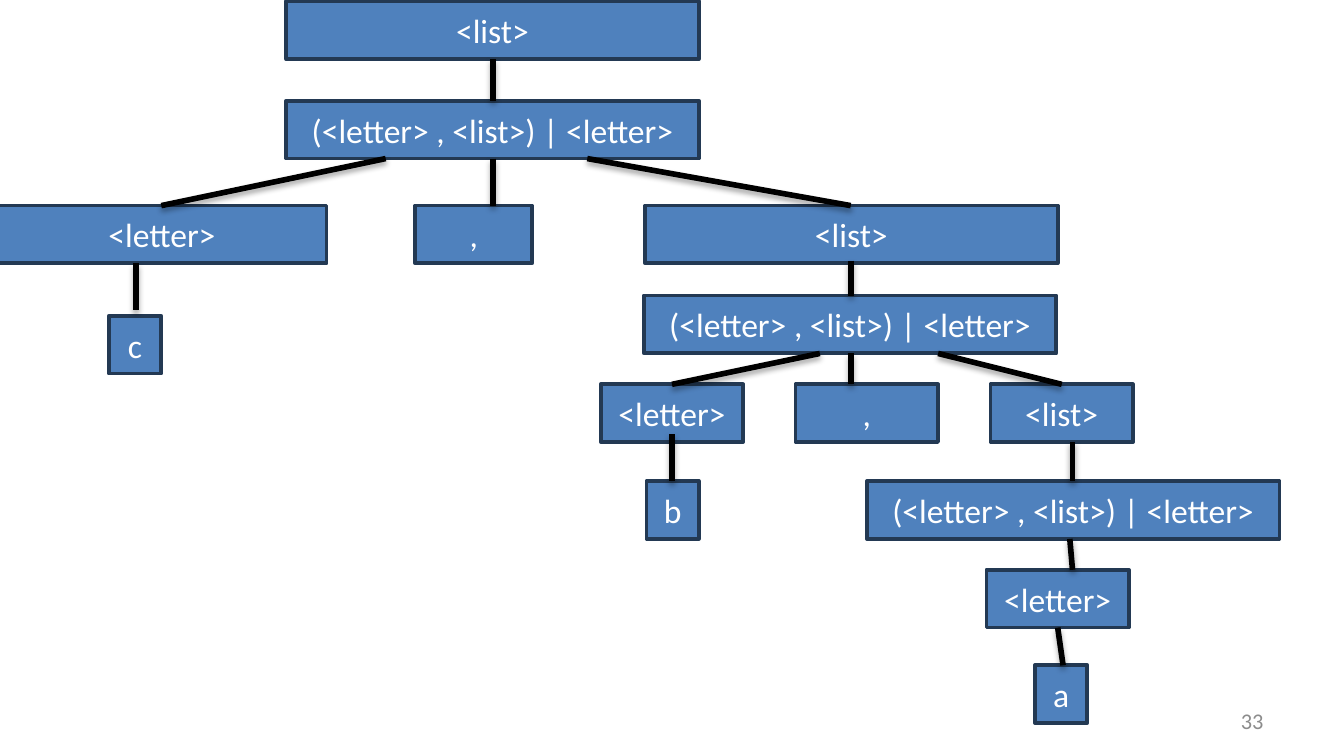
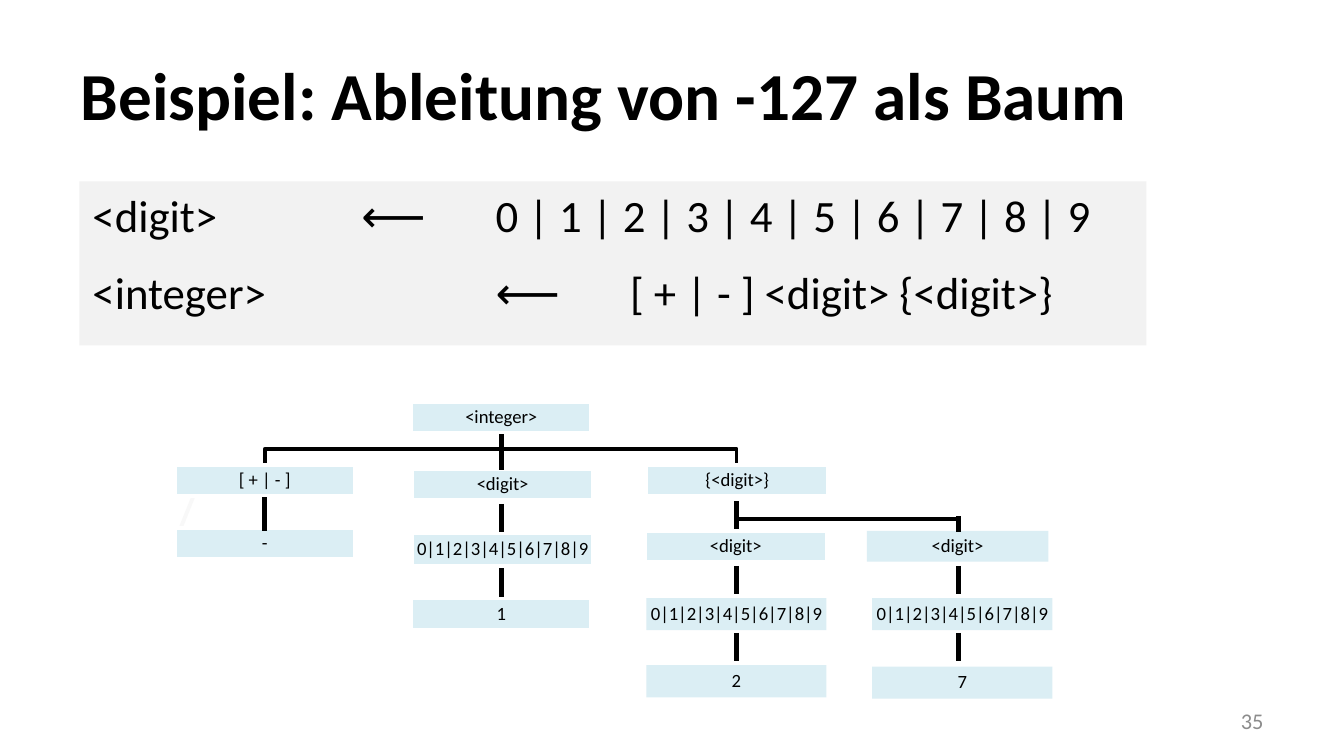
from dataclasses import dataclass

from lxml import etree
from pptx import Presentation
from pptx.dml.color import RGBColor
from pptx.enum.shapes import MSO_CONNECTOR, MSO_SHAPE
from pptx.enum.text import MSO_ANCHOR, PP_ALIGN
from pptx.oxml.ns import qn
from pptx.util import Inches, Pt

STRAIGHT = MSO_CONNECTOR.STRAIGHT
RECTANGLE = MSO_SHAPE.RECTANGLE
TOP, MIDDLE = MSO_ANCHOR.TOP, MSO_ANCHOR.MIDDLE
LEFT, CENTER, RIGHT = PP_ALIGN.LEFT, PP_ALIGN.CENTER, PP_ALIGN.RIGHT


@dataclass(frozen=True)
class Theme:
    font: str = "Calibri"
    black: str = "000000"
    white: str = "FFFFFF"
    blue: str = "4F81BD"
    navy: str = "233953"
    pale_blue: str = "DBEEF4"
    pale_gray: str = "F2F2F2"
    faint: str = "F8F8F8"
    number_gray: str = "8C8C8C"
    title_size: int = 36
    grammar_size: int = 24
    list_node_size: int = 18
    number_size: int = 12
    digit_node_size: int = 10


THEME = Theme()

RULE = "(<letter> , <list>) | <letter>"
LIST_NODE_HEIGHT = 0.43
LIST_NODES = {
    "root": ("<list>", 2.13, 0.01, 3.07),
    "root rule": (RULE, 2.13, 0.75, 3.07),
    "first letter": ("<letter>", -0.02, 1.53, 2.45),
    "first comma": (",", 3.09, 1.53, 0.87),
    "second list": ("<list>", 4.8, 1.53, 3.07),
    "c": ("c", 0.81, 2.35, 0.39),
    "second rule": (RULE, 4.79, 2.2, 3.07),
    "second letter": ("<letter>", 4.47, 2.86, 1.06),
    "second comma": (",", 5.92, 2.86, 1.06),
    "third list": ("<list>", 7.37, 2.86, 1.06),
    "b": ("b", 4.81, 3.58, 0.39),
    "third rule": (RULE, 6.45, 3.58, 3.07),
    "third letter": ("<letter>", 7.34, 4.24, 1.06),
    "a": ("a", 7.7, 4.95, 0.39),
}
LIST_EDGES = [
    dict(parent="root", child="root rule", start_x=3.67, end_x=3.67),
    dict(parent="root rule", child="first comma", start_x=3.67, end_x=3.67),
    dict(parent="root rule", child="first letter", start_x=2.87, end_x=1.2),
    dict(parent="root rule", child="second list", start_x=4.37, end_x=6.33),
    dict(parent="first letter", child="c", start_x=1.01, end_x=1.01, gap=0.04),
    dict(parent="second letter", child="b", start_x=5, end_x=5, overlap=0.06),
    dict(parent="second list", child="second rule", start_x=6.33, end_x=6.33,
         overlap=0.02),
    dict(parent="second rule", child="second comma", start_x=6.33, end_x=6.33),
    dict(parent="third list", child="third rule", start_x=7.98, end_x=7.98),
    dict(parent="third rule", child="third letter", start_x=7.96, end_x=7.98),
    dict(parent="third letter", child="a", start_x=7.87, end_x=7.91),
    dict(parent="second rule", child="second letter", start_x=6.1, end_x=5),
    dict(parent="second rule", child="third list", start_x=6.98, end_x=7.9),
]

TITLE = "Beispiel: Ableitung von -127 als Baum"
GRAMMAR = [
    "<digit>\t\t⟵\t0 | 1 | 2 | 3 | 4 | 5 | 6 | 7 | 8 | 9",
    "<integer>\t\t⟵\t[ + | - ] <digit> {<digit>}",
]
GRAMMAR_TABS = [1, 2, 3, 4]
DIGITS = "|".join(str(digit) for digit in range(10))
OUTLINED_NODES = [
    ("<integer>", 3.06, 2.99, 1.34, 0.23),
    ("[ + | - ]", 1.3, 3.46, 1.34, 0.23),
    ("-", 1.3, 3.93, 1.34, 0.23),
    ("<digit>", 3.07, 3.49, 1.34, 0.23),
    (DIGITS, 3.07, 3.97, 1.34, 0.24),
    ("1", 3.06, 4.45, 1.34, 0.24),
    ("{<digit>}", 4.81, 3.46, 1.35, 0.23),
    ("<digit>", 4.8, 3.95, 1.35, 0.23),
]
PLAIN_NODES = [
    (DIGITS, 4.81, 4.45, 1.34, 0.24),
    ("2", 4.81, 4.95, 1.34, 0.24),
    ("<digit>", 6.45, 3.95, 1.35, 0.23),
    (DIGITS, 6.49, 4.45, 1.34, 0.24),
    ("7", 6.49, 4.96, 1.34, 0.24),
]
BRANCHES = [
    [(3.73, 3.22), (3.73, 3.34), (x, 3.34), (x, 3.46)] for x in (5.48, 1.97)
]
SLASH = [(1.44, 3.69), (1.3, 4.04)]
STEMS = {
    1.97: [(3.7, 3.95)],
    3.73: [(3.23, 3.5), (3.75, 3.96), (4.23, 4.44)],
    5.48: [(3.73, 3.94), (4.21, 4.42), (4.71, 4.92)],
    7.13: [(3.84, 3.96), (4.21, 4.42), (4.71, 4.92)],
}


def color(value):
    return RGBColor.from_string(value)


def write(frame, *lines, size, fill=THEME.black, align=CENTER, anchor=MIDDLE,
          bold=False, inset=None, spacing=None, gap=0, tabs=()):
    frame.word_wrap = True
    frame.vertical_anchor = anchor
    if inset is not None:
        frame.margin_left = frame.margin_right = Inches(inset)
        frame.margin_top = frame.margin_bottom = Inches(inset)
    for index, line in enumerate(lines):
        para = frame.add_paragraph() if index else frame.paragraphs[0]
        para.alignment = align
        if spacing:
            para.line_spacing = spacing
        if gap:
            para.space_before = Pt(gap if index else 0)
            para.space_after = Pt(gap)
        if tabs:
            stops = etree.SubElement(para._p.get_or_add_pPr(), qn("a:tabLst"))
            for stop in tabs:
                etree.SubElement(stops, qn("a:tab"), pos=str(Inches(stop)), algn="l")
        span = para.add_run()
        span.text = line
        span.font.name = THEME.font
        span.font.size = Pt(size)
        span.font.bold = bold
        span.font.color.rgb = color(fill)


def add_box(slide, left, top, width, height, fill, outline=None):
    box = slide.shapes.add_shape(
        RECTANGLE, Inches(left), Inches(top), Inches(width), Inches(height))
    box.shadow.inherit = False
    box.fill.solid()
    box.fill.fore_color.rgb = color(fill)
    if outline:
        box.line.color.rgb = color(outline)
        box.line.width = Pt(2)
    else:
        box.line.fill.background()
    return box


def add_line(slide, start, end, weight, shadow=False):
    line = slide.shapes.add_connector(
        STRAIGHT, *(Inches(value) for value in (*start, *end)))
    line.line.color.rgb = color(THEME.black)
    line.line.width = Pt(weight)
    effects = etree.SubElement(line._element.spPr, qn("a:effectLst"))
    if shadow:
        outer = etree.SubElement(
            effects, qn("a:outerShdw"), blurRad=str(Pt(3.1)), dist=str(Pt(1.8)),
            dir="5400000", rotWithShape="0")
        shade = etree.SubElement(outer, qn("a:srgbClr"), val=THEME.black)
        etree.SubElement(shade, qn("a:alpha"), val="35000")


def add_polyline(slide, points, stroke):
    corners = [(Inches(x), Inches(y)) for x, y in points]
    builder = slide.shapes.build_freeform(*corners[0])
    builder.add_line_segments(corners[1:], close=False)
    outline = builder.convert_to_shape()
    outline.shadow.inherit = False
    outline.fill.background()
    outline.line.color.rgb = color(stroke)
    outline.line.width = Pt(2)


def add_number(slide, number):
    box = slide.shapes.add_textbox(
        Inches(7.17), Inches(5.21), Inches(2.33), Inches(0.3))
    write(box.text_frame, number, size=THEME.number_size,
          fill=THEME.number_gray, align=RIGHT)


def add_digit_nodes(slide, nodes, outline=None):
    for text, *place in nodes:
        box = add_box(slide, *place, THEME.pale_blue, outline)
        write(box.text_frame, text, size=THEME.digit_node_size,
              inset=0.01, spacing=0.9)


def add_list_edge(slide, parent, child, start_x, end_x, overlap=0, gap=0):
    start_y = LIST_NODES[parent][2] + LIST_NODE_HEIGHT - overlap
    end_y = LIST_NODES[child][2] - gap
    add_line(slide, (start_x, start_y), (end_x, end_y), 3, shadow=True)


def build_list_tree(deck):
    slide = deck.slides.add_slide(deck.slide_layouts[6])
    add_number(slide, "33")
    for text, left, top, width in LIST_NODES.values():
        box = add_box(slide, left, top, width, LIST_NODE_HEIGHT,
                      THEME.blue, THEME.navy)
        write(box.text_frame, text, size=THEME.list_node_size, fill=THEME.white)
    for edge in LIST_EDGES:
        add_list_edge(slide, **edge)


def build_integer_tree(deck):
    slide = deck.slides.add_slide(deck.slide_layouts[5])
    title = slide.shapes.title
    title.left, title.top = Inches(0.5), Inches(0.23)
    title.width, title.height = Inches(9), Inches(0.94)
    write(title.text_frame, TITLE, size=THEME.title_size, align=LEFT, bold=True)
    add_number(slide, "35")
    panel = add_box(slide, 0.59, 1.35, 7.94, 1.22, THEME.pale_gray)
    write(panel.text_frame, *GRAMMAR, size=THEME.grammar_size, align=LEFT,
          anchor=TOP, gap=6, tabs=GRAMMAR_TABS)
    add_polyline(slide, SLASH, THEME.faint)
    for branch in BRANCHES:
        add_polyline(slide, branch, THEME.black)
    add_digit_nodes(slide, OUTLINED_NODES, THEME.white)
    add_digit_nodes(slide, PLAIN_NODES)
    add_line(slide, (5.48, 3.86), (7.13, 3.86), 2.25)
    for x, spans in STEMS.items():
        for top, bottom in spans:
            add_line(slide, (x, top), (x, bottom), 2.6)


def main():
    deck = Presentation()
    deck.slide_width = Inches(10)
    deck.slide_height = deck.slide_width * 9 // 16
    build_list_tree(deck)
    build_integer_tree(deck)
    deck.save("out.pptx")


if __name__ == "__main__":
    main()
